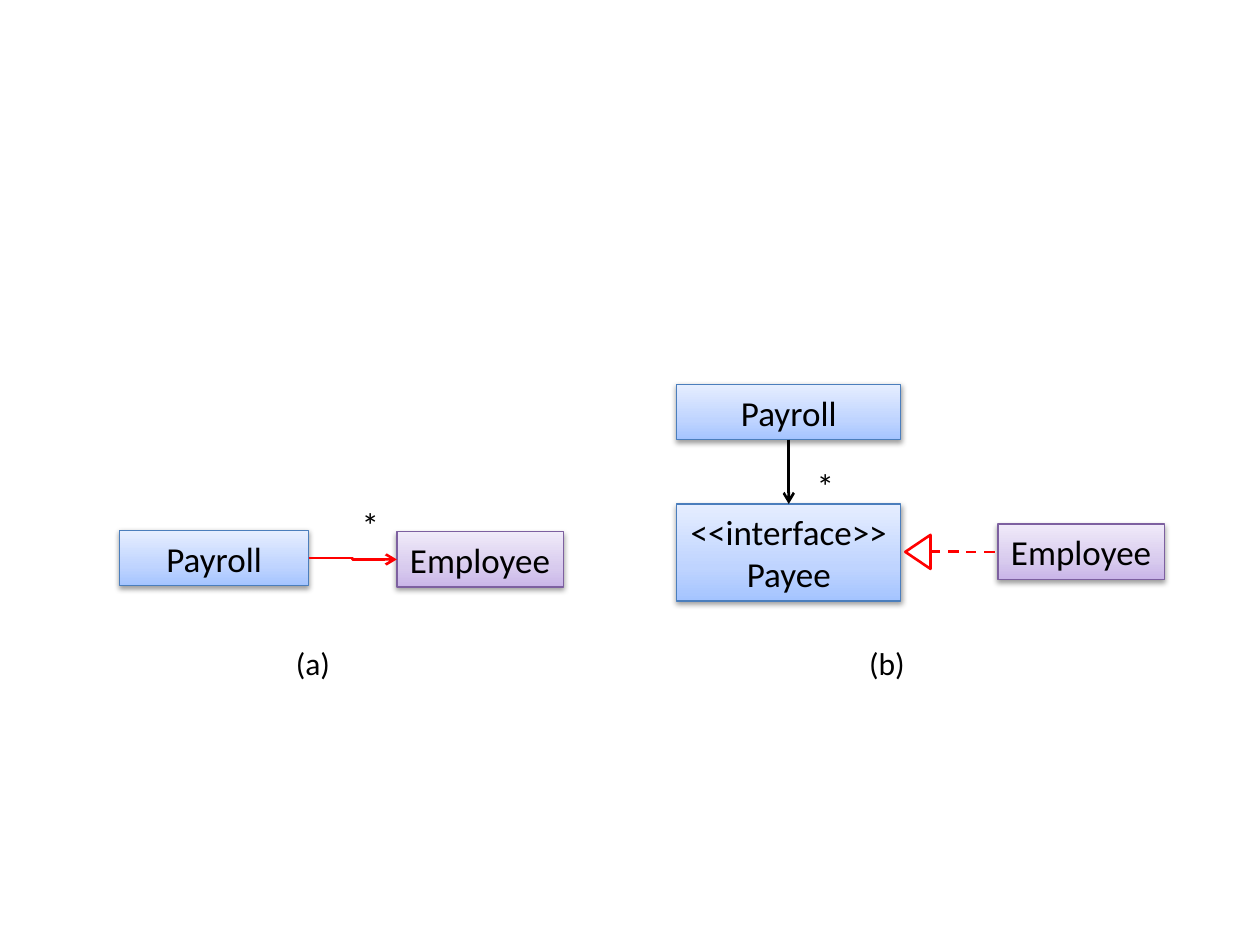
from copy import deepcopy
from dataclasses import dataclass

from lxml import etree
from pptx import Presentation
from pptx.dml.color import RGBColor
from pptx.enum import dml, shapes, text
from pptx.oxml.ns import qn
from pptx.util import Inches, Pt

COLS, ROWS = 100, 75
WIDTH, HEIGHT = Inches(10), Inches(7.5)


@dataclass(frozen=True)
class Theme:
    font: str = "Calibri"
    ink: str = "000000"
    accent: str = "FF0000"
    blue: tuple = ("A4C4FF", "BFD4FF", "E6EEFF", "4B7EBC")
    purple: tuple = ("C9B5E8", "D8CBEE", "F0EAF9", "7D60A0")
    stops: tuple = (0, 0.35, 1)
    label: int = 20
    caption: int = 18
    edge: float = 0.75
    stroke: float = 1.5


THEME = Theme()


def col(n):
    return round(WIDTH * n / COLS)


def row(n):
    return round(HEIGHT * n / ROWS)


def place(x, y, w, h):
    return col(x), row(y), col(w), row(h)


def rgb(code):
    return RGBColor.from_string(code)


def write(shape, words, size, align, anchor, wrap=True):
    frame = shape.text_frame
    frame.word_wrap = wrap
    frame.vertical_anchor = anchor
    para = frame.paragraphs[0]
    para.text = words
    para.alignment = align
    for run in para.runs:
        run.font.name = THEME.font
        run.font.size = Pt(size)
        run.font.color.rgb = rgb(THEME.ink)


def shade(shape, tones):
    fill = shape.fill
    fill.gradient()
    fill.gradient_angle = 90
    stops = shape._element.spPr.find(".//" + qn("a:gsLst"))
    stops.append(deepcopy(stops[0]))
    for stop, tone, spot in zip(fill.gradient_stops, tones, THEME.stops):
        stop.color.rgb = rgb(tone)
        stop.position = spot


def drop(shape):
    shape.shadow.inherit = False
    effects = shape._element.spPr.find(qn("a:effectLst"))
    outer = etree.SubElement(
        effects, qn("a:outerShdw"), blurRad="40000", dist="20000",
        dir="5400000", rotWithShape="0")
    tint = etree.SubElement(outer, qn("a:srgbClr"), val=THEME.ink)
    etree.SubElement(tint, qn("a:alpha"), val="38000")


def box(slide, words, spot, tones, wrap=True):
    shape = slide.shapes.add_shape(shapes.MSO_SHAPE.RECTANGLE, *place(*spot))
    shade(shape, tones)
    shape.line.color.rgb = rgb(tones[-1])
    shape.line.width = Pt(THEME.edge)
    drop(shape)
    write(shape, words, THEME.label, text.PP_ALIGN.CENTER,
          text.MSO_ANCHOR.MIDDLE, wrap)
    return shape


def star(slide, x, y):
    shape = slide.shapes.add_textbox(*place(x, y, 3.4, 4.3))
    write(shape, "*", THEME.label, text.PP_ALIGN.CENTER, text.MSO_ANCHOR.MIDDLE)


def caption(slide, words, x):
    shape = slide.shapes.add_textbox(*place(x, 50.6, 5, 3.9))
    write(shape, words, THEME.caption, text.PP_ALIGN.LEFT, text.MSO_ANCHOR.TOP)


def head(slide, spot):
    shape = slide.shapes.add_shape(
        shapes.MSO_SHAPE.ISOSCELES_TRIANGLE, *place(*spot))
    shape.rotation = 270
    shape.fill.background()
    shape.line.color.rgb = rgb(THEME.accent)
    shape.line.width = Pt(THEME.stroke)
    shape.shadow.inherit = False


def link(slide, kind, color, start, end):
    line = slide.shapes.add_connector(kind, *start, *end)
    line.line.color.rgb = rgb(color)
    line.line.width = Pt(THEME.stroke)
    etree.SubElement(line._element.spPr, qn("a:effectLst"))
    return line


def arrow(slide, kind, color, source, out, target, side):
    line = link(slide, kind, color, (0, 0), (0, 0))
    line.begin_connect(source, out)
    line.end_connect(target, side)
    etree.SubElement(line.line._get_or_add_ln(), qn("a:tailEnd"), type="arrow")


def direct(slide):
    payroll = box(slide, "Payroll", (9.5, 42.1, 15, 4.4), THEME.blue)
    staff = box(slide, "Employee", (31.5, 42.2, 13.2, 4.4), THEME.purple, False)
    arrow(slide, shapes.MSO_CONNECTOR.ELBOW, THEME.accent, payroll, 3, staff, 1)
    star(slide, 27.7, 39.5)
    caption(slide, "(a)", 22.5)


def inverted(slide):
    payroll = box(slide, "Payroll", (53.7, 30.5, 17.8, 4.4), THEME.blue)
    payee = box(slide, "<<interface>>\nPayee", (53.7, 40, 17.8, 7.7),
                THEME.blue, False)
    staff = box(slide, "Employee", (79.2, 41.6, 13.2, 4.4), THEME.purple, False)
    arrow(slide, shapes.MSO_CONNECTOR.STRAIGHT, THEME.ink, payroll, 2, payee, 0)
    star(slide, 63.8, 36.4)
    head(slide, (71.5, 42.8, 2.7, 2))
    dash = link(slide, shapes.MSO_CONNECTOR.ELBOW, THEME.accent,
                (col(73.8), row(43.75)), (col(79.2), row(43.8)))
    dash.end_connect(staff, 1)
    dash.line.dash_style = dml.MSO_LINE.DASH
    caption(slide, "(b)", 68)


def main():
    deck = Presentation()
    deck.slide_width, deck.slide_height = WIDTH, HEIGHT
    slide = deck.slides.add_slide(deck.slide_layouts[6])
    direct(slide)
    inverted(slide)
    deck.save("out.pptx")


if __name__ == "__main__":
    main()
